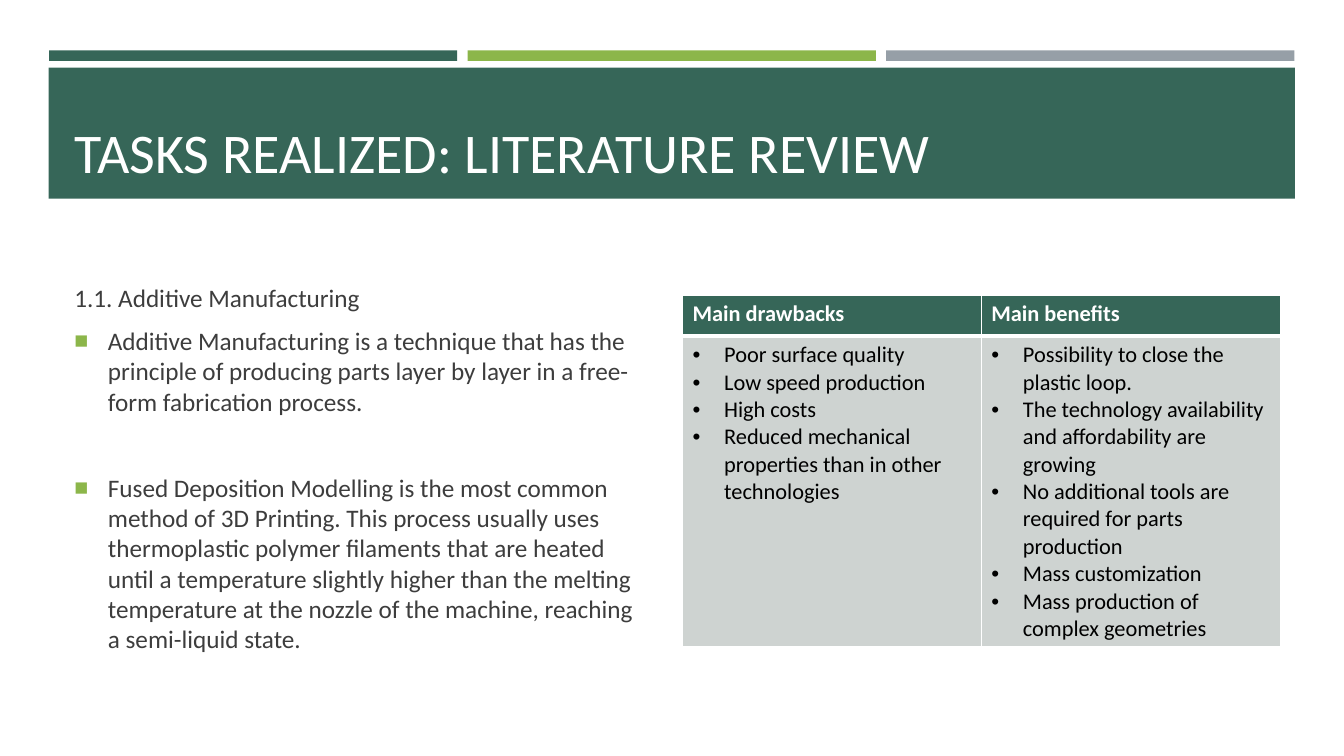
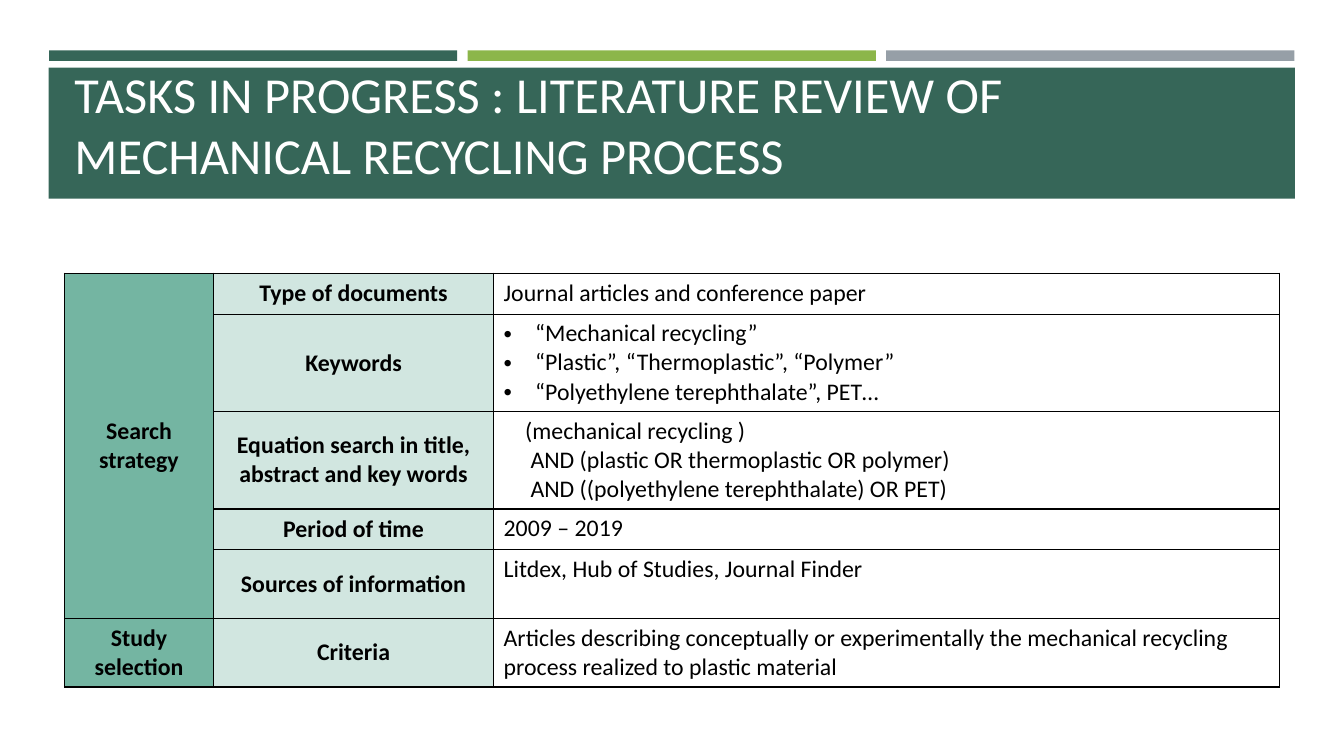
from lxml import etree
from pptx import Presentation
from pptx import util as u
from pptx.dml import color
from pptx.enum import shapes, text
from pptx.oxml import ns

Pt = u.Pt
GREEN, LIME, GREY = "366658", "8CB64A", "969FA7"
WHITE, BLACK, INK = "FFFFFF", "000000", "3D3D3D"
PALE_GREY, SAGE, MINT = "CED3D1", "74B5A2", "D1E6E0"
TITLE_ONLY = 5


def rgb(hex_code):
    return color.RGBColor.from_string(hex_code)


def sub(parent, tag, **attributes):
    return etree.SubElement(parent, ns.qn(tag), attributes)


class Deck:
    """Holds the presentation, its style and the slide being built."""

    font = "Calibri"
    band_left, band_step, band_width = 35, 299, 291.6

    def __init__(self):
        self.prs = Presentation()
        self.prs.slide_width, self.prs.slide_height = Pt(960), Pt(540)
        self.slide = None

    def start_slide(self, title, size):
        self.slide = self.prs.slides.add_slide(self.prs.slide_layouts[TITLE_ONLY])
        for i, fill in enumerate((GREEN, LIME, GREY)):
            self.bar(self.band_left + i * self.band_step, 36, self.band_width, 7.5, fill)
        self.bar(34.8, 48.4, 890.2, 93.6, GREEN)
        heading = self.slide.shapes.title
        self.slide.shapes._spTree.append(heading._element)  # in front of the band
        heading.left, heading.top, heading.width, heading.height = map(Pt, (46, 55.4, 868, 80))
        frame = heading.text_frame
        frame.auto_size = text.MSO_AUTO_SIZE.NONE
        frame.vertical_anchor = text.MSO_ANCHOR.BOTTOM
        self.paragraph(frame, title, size, WHITE)

    def bar(self, left, top, width, height, fill):
        bar = self.slide.shapes.add_shape(
            shapes.MSO_SHAPE.RECTANGLE, Pt(left), Pt(top), Pt(width), Pt(height))
        bar.shadow.inherit = False
        bar.fill.solid()
        bar.fill.fore_color.rgb = rgb(fill)
        bar.line.fill.background()

    def text_box(self, left, top, width, height):
        frame = self.slide.shapes.add_textbox(
            Pt(left), Pt(top), Pt(width), Pt(height)).text_frame
        frame.word_wrap = True
        frame.vertical_anchor = text.MSO_ANCHOR.MIDDLE
        return frame

    def paragraph(self, frame, words, size, ink, bold=False, centred=False,
                  indent=0, bullet=None, bullet_ink=None, before=0, after=0):
        """Fill the frame's first paragraph, or add one; a bullet hangs in the indent."""
        para = frame.paragraphs[0]
        if para.runs:
            para = frame.add_paragraph()
        para.alignment = text.PP_ALIGN.CENTER if centred else text.PP_ALIGN.LEFT
        para.space_before, para.space_after = Pt(before), Pt(after)
        run = para.add_run()
        run.text = words
        run.font.name, run.font.size, run.font.bold = self.font, Pt(size), bold
        run.font.color.rgb = rgb(ink)
        props = para._p.get_or_add_pPr()
        props.set("marL", str(Pt(indent)))
        props.set("indent", str(Pt(-indent if bullet else 0)))
        if bullet_ink:
            sub(sub(props, "a:buClr"), "a:srgbClr", val=bullet_ink)
            sub(props, "a:buSzPct", val="92000")
        if bullet:
            sub(props, "a:buFont", typeface="Arial")
            sub(props, "a:buChar", char=bullet)

    def table(self, left, top, widths, heights):
        grid = self.slide.shapes.add_table(
            len(heights), len(widths), Pt(left), Pt(top),
            Pt(sum(widths)), Pt(sum(heights))).table
        grid.first_row = grid.horz_banding = False
        for column, width in zip(grid.columns, widths):
            column.width = Pt(width)
        for row, height in zip(grid.rows, heights):
            row.height = Pt(height)
        return grid

    def cell(self, cell, fill, border, top=1, bottom=1, middle=False):
        """Colour a cell and draw its four borders; top and bottom are line widths."""
        props = cell._tc.get_or_add_tcPr()
        for side, width in (("L", 1), ("R", 1), ("T", top), ("B", bottom)):
            line = sub(props, f"a:ln{side}", w=str(Pt(width)))
            sub(sub(line, "a:solidFill"), "a:srgbClr", val=border)
        cell.fill.solid()
        cell.fill.fore_color.rgb = rgb(fill)
        cell.vertical_anchor = text.MSO_ANCHOR.MIDDLE if middle else text.MSO_ANCHOR.TOP
        return cell.text_frame


def literature_review(deck):
    deck.start_slide("TASKS REALIZED: LITERATURE REVIEW", 40)
    body = deck.text_box(46, 171.4, 420.5, 326)
    deck.paragraph(body, "1.1. Additive Manufacturing", 18, INK, before=3, after=6)
    points = (
        (3, "Additive Manufacturing is a technique that has the principle of producing "
            "parts layer by layer in a free-form fabrication process."),
        (34, "Fused Deposition Modelling is the most common method of 3D Printing. This "
             "process usually uses thermoplastic polymer filaments that are heated until a "
             "temperature slightly higher than the melting temperature at the nozzle of the "
             "machine, reaching a semi-liquid state."),
    )
    for gap, point in points:
        deck.paragraph(body, point, 18, INK, indent=24, bullet="■", bullet_ink=LIME,
                       before=gap, after=6)

    comparison = {
        "Main drawbacks": (
            "Poor surface quality", "Low speed production", "High costs",
            "Reduced mechanical properties than in other technologies"),
        "Main benefits": (
            "Possibility to close the plastic loop.",
            "The technology availability and affordability are growing",
            "No additional tools are required for parts production",
            "Mass customization", "Mass production of complex geometries"),
    }
    grid = deck.table(487.6, 211, (213.4, 213.4), (29.2, 222))
    for col, (heading, items) in enumerate(comparison.items()):
        head = deck.cell(grid.cell(0, col), GREEN, WHITE, bottom=3)
        deck.paragraph(head, heading, 16, WHITE, bold=True)
        listing = deck.cell(grid.cell(1, col), PALE_GREY, WHITE, top=3)
        for item in items:
            deck.paragraph(listing, item, 16, BLACK, indent=22.5, bullet="•")


def recycling_review(deck):
    deck.start_slide("TASKS IN PROGRESS : LITERATURE REVIEW OF MECHANICAL RECYCLING PROCESS", 36)
    bulleted = {"indent": 22.5, "bullet": "•"}
    # stage, criterion, row height, lines of detail with their paragraph options
    protocol = (
        ("Search strategy", "Type of documents", 29.2,
         (("Journal articles and conference paper", {}),)),
        ("", "Keywords", 69.4,
         (("“Mechanical recycling”", bulleted),
          ("“Plastic”, “Thermoplastic”, “Polymer”", bulleted),
          ("“Polyethylene terephthalate”, PET…", bulleted))),
        ("", "Equation search in title, abstract and key words", 69.4,
         (("(mechanical recycling )", {"indent": 15.4}),
          ("AND (plastic OR thermoplastic OR polymer)", {"indent": 19.2}),
          ("AND ((polyethylene terephthalate) OR PET)", {"indent": 19.2}))),
        ("", "Period of time", 29.2, (("2009 – 2019", {}),)),
        ("", "Sources of information", 49,
         (("Litdex, Hub of Studies, Journal Finder", {}),)),
        ("Study selection", "Criteria", 49,
         (("Articles describing conceptually or experimentally the mechanical recycling "
           "process realized to plastic material", {}),)),
    )
    grid = deck.table(46, 195.2, (106.6, 200, 561.6), [row[2] for row in protocol])
    grid.cell(0, 0).merge(grid.cell(4, 0))
    for row, (stage, criterion, _, details) in enumerate(protocol):
        for col, (label, fill) in enumerate(((stage, SAGE), (criterion, MINT))):
            frame = deck.cell(grid.cell(row, col), fill, BLACK, middle=True)
            if label:
                deck.paragraph(frame, label, 17, BLACK, bold=True, centred=True)
        frame = deck.cell(grid.cell(row, 2), WHITE, BLACK)
        for words, options in details:
            deck.paragraph(frame, words, 17, BLACK, **options)


def main():
    deck = Deck()
    literature_review(deck)
    recycling_review(deck)
    deck.prs.save("out.pptx")


if __name__ == "__main__":
    main()
